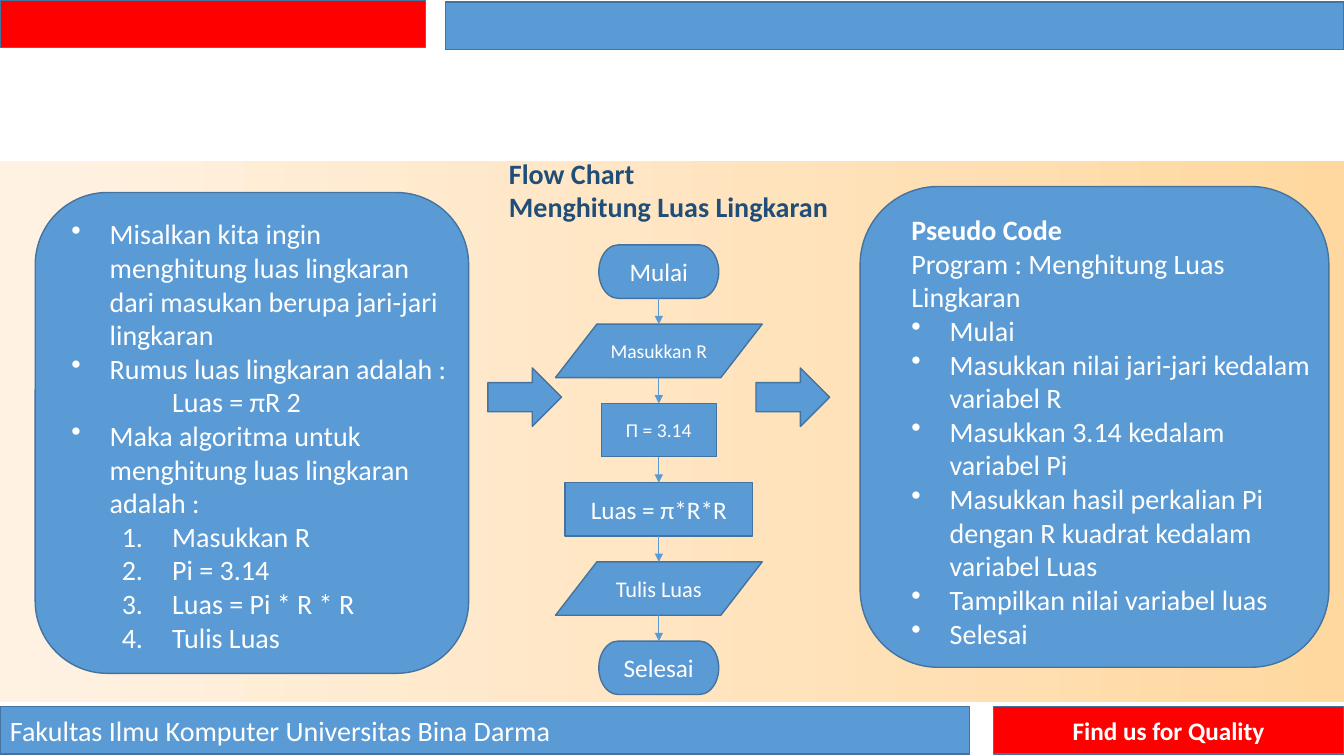
from dataclasses import dataclass
from typing import NamedTuple

from lxml import etree
from pptx import Presentation
from pptx.dml.color import RGBColor
from pptx.enum.shapes import MSO_CONNECTOR, MSO_SHAPE
from pptx.enum.text import MSO_ANCHOR, MSO_AUTO_SIZE, PP_ALIGN
from pptx.oxml.ns import qn
from pptx.util import Inches, Pt

RECTANGLE = MSO_SHAPE.RECTANGLE
ROUNDED = MSO_SHAPE.ROUNDED_RECTANGLE
ARROW = MSO_SHAPE.RIGHT_ARROW
TERMINATOR = MSO_SHAPE.FLOWCHART_TERMINATOR
DATA = MSO_SHAPE.FLOWCHART_DATA
STRAIGHT = MSO_CONNECTOR.STRAIGHT
LEFT, CENTER = PP_ALIGN.LEFT, PP_ALIGN.CENTER
TOP, MIDDLE = MSO_ANCHOR.TOP, MSO_ANCHOR.MIDDLE
FIT_SHAPE = MSO_AUTO_SIZE.SHAPE_TO_FIT_TEXT
SITE_TOP, SITE_BOTTOM = 0, 2


@dataclass(frozen=True)
class Theme:
    font: str = "Calibri"
    blue: str = "5B9BD5"
    outline: str = "43739E"
    red: str = "FF0000"
    white: str = "FFFFFF"
    heading: str = "1F4E79"
    band_dark: str = "FFD8A0"
    band_light: str = "FFF2E3"
    body: int = 20
    label: int = 18
    medium: int = 16
    small: int = 14


THEME = Theme()


class Box(NamedTuple):
    left: float
    top: float
    width: float
    height: float

    def inner(self, left, top, width, height):
        """Return an inner box given in percent of this one."""
        return Box(self.left + self.width * left / 100, self.top + self.height * top / 100,
                   self.width * width / 100, self.height * height / 100)

    def lengths(self):
        return [Inches(value) for value in self]


# Indent style: list level, left margin and hanging indent in inches, marker
INDENTS = {
    "plain": (0, 0, 0, None),
    "bullet": (0, 0.38, -0.38, ("a:buChar", "char", "•")),
    "formula": (0, 1, 0, None),
    "number": (1, 1, -0.5, ("a:buAutoNum", "type", "arabicPeriod")),
}


def color(value):
    return RGBColor.from_string(value)


def write_text(frame, text, first=False, style="plain", size=THEME.body,
               fill=THEME.white, bold=False, align=LEFT):
    paragraph = frame.paragraphs[0] if first else frame.add_paragraph()
    paragraph.alignment = align
    level, margin, hanging, marker = INDENTS[style]
    paragraph.level = level
    if margin:
        properties = paragraph._p.get_or_add_pPr()
        properties.set("marL", str(Inches(margin)))
        properties.set("indent", str(Inches(hanging)))
        if marker:
            tag, key, value = marker
            etree.SubElement(properties, qn(tag)).set(key, value)
    run = paragraph.add_run()
    run.text = text
    run.font.name = THEME.font
    run.font.size = Pt(size)
    run.font.bold = bold
    run.font.color.rgb = color(fill)


def add_block(slide, kind, box, fill=THEME.blue, text=None, **text_format):
    shape = slide.shapes.add_shape(kind, *box.lengths())
    shape.shadow.inherit = False
    shape.fill.solid()
    shape.fill.fore_color.rgb = color(fill)
    shape.line.color.rgb = color(THEME.outline)
    shape.line.width = Pt(1)
    if text:
        shape.text_frame.vertical_anchor = MIDDLE
        write_text(shape.text_frame, text, first=True, **text_format)
    return shape


def add_paragraphs(slide, box, paragraphs):
    frame = slide.shapes.add_textbox(*box.lengths()).text_frame
    frame.word_wrap = True
    frame.auto_size = FIT_SHAPE
    frame.vertical_anchor = TOP
    for index, (text, text_format) in enumerate(paragraphs):
        write_text(frame, text, first=index == 0, **text_format)


def add_band(slide, box):
    band = slide.shapes.add_shape(RECTANGLE, *box.lengths())
    band.shadow.inherit = False
    band.line.fill.background()
    band.fill.gradient()
    band.fill.gradient_angle = 180
    for stop, value in zip(band.fill.gradient_stops, (THEME.band_dark, THEME.band_light)):
        stop.color.rgb = color(value)


def add_header(slide, box):
    add_block(slide, RECTANGLE, box.inner(0, 0, 31.65, 96), THEME.red)
    add_block(slide, RECTANGLE, box.inner(33.15, 4, 66.85, 96))


def add_footer(slide, box):
    add_block(slide, RECTANGLE, box.inner(0, 0, 72.15, 100),
              text="Fakultas Ilmu Komputer Universitas Bina Darma")
    add_block(slide, RECTANGLE, box.inner(73.9, 0, 26.1, 100), THEME.red,
              "Find us for Quality", size=THEME.label, bold=True, align=CENTER)


def add_panel(slide, box, text_area, paragraphs):
    add_block(slide, ROUNDED, box)
    add_paragraphs(slide, box.inner(*text_area), paragraphs)


def add_flow_arrow(slide, upper, lower):
    middle = upper.left + upper.width // 2
    connector = slide.shapes.add_connector(
        STRAIGHT, middle, upper.top + upper.height, middle, lower.top)
    # Data shapes number their sites differently, so only the others are joined
    if upper.auto_shape_type != DATA:
        connector.begin_connect(upper, SITE_BOTTOM)
    if lower.auto_shape_type != DATA:
        connector.end_connect(lower, SITE_TOP)
    connector.line.color.rgb = color(THEME.blue)
    connector.line.width = Pt(0.5)
    line = connector.line._get_or_add_ln()
    etree.SubElement(line, qn("a:tailEnd")).set("type", "triangle")
    etree.SubElement(connector._element.spPr, qn("a:effectLst"))


def add_flow_chart(slide, box, steps):
    height = 11.88
    pitch = (100 - height) / (len(steps) - 1)
    nodes = []
    for row, (kind, width, text, size) in enumerate(steps):
        area = box.inner((100 - width) / 2, row * pitch, width, height)
        nodes.append(add_block(slide, kind, area, text=text, size=size, align=CENTER))
    for upper, lower in zip(nodes, nodes[1:]):
        add_flow_arrow(slide, upper, lower)


def styled(style, *texts):
    return [(text, {"style": style}) for text in texts]


PROBLEM = [
    *styled("bullet",
            "Misalkan kita ingin menghitung luas lingkaran dari masukan berupa jari-jari lingkaran",
            "Rumus luas lingkaran adalah :"),
    *styled("formula", "Luas = πR 2"),
    *styled("bullet", "Maka algoritma untuk menghitung luas lingkaran adalah :"),
    *styled("number", "Masukkan R", "Pi = 3.14", "Luas = Pi * R * R", "Tulis Luas"),
]
PSEUDO_CODE = [
    ("Pseudo Code", {"bold": True}),
    *styled("plain", "Program : Menghitung Luas Lingkaran"),
    *styled("bullet", "Mulai", "Masukkan nilai jari-jari kedalam variabel R",
            "Masukkan 3.14 kedalam variabel Pi",
            "Masukkan hasil perkalian Pi dengan R kuadrat kedalam variabel Luas",
            "Tampilkan nilai variabel luas", "Selesai"),
]
FLOW_STEPS = [
    (TERMINATOR, 58, "Mulai", THEME.label),
    (DATA, 100, "Masukkan R", THEME.small),
    (RECTANGLE, 55.6, "Π = 3.14", THEME.small),
    (RECTANGLE, 90.7, "Luas = π*R*R", THEME.label),
    (DATA, 100, "Tulis Luas", THEME.medium),
    (TERMINATOR, 58, "Selesai", THEME.label),
]
HEADING = [(text, {"bold": True, "fill": THEME.heading})
           for text in ("Flow Chart", "Menghitung Luas Lingkaran")]


def main():
    presentation = Presentation()
    page = Box(0, 0, 13.33, 7.5)
    presentation.slide_width, presentation.slide_height = page.lengths()[2:]
    slide = presentation.slides.add_slide(presentation.slide_layouts[6])

    # Frame of the page
    add_band(slide, page.inner(0, 21.33, 100, 71.47))
    add_header(slide, page.inner(0, 0, 100, 6.53))
    add_footer(slide, page.inner(0, 93.47, 100, 6.27))

    # Problem, flow chart and pseudo code, from left to right
    add_panel(slide, page.inner(2.62, 25.47, 32.25, 63.6), (6.05, 4, 93.26, 93.9), PROBLEM)
    add_flow_chart(slide, page.inner(41.33, 32.4, 15.38, 59.47), FLOW_STEPS)
    add_panel(slide, page.inner(64, 24.67, 34.88, 63.6), (8.82, 4.4, 91.4, 93.9), PSEUDO_CODE)
    for left in (36.3, 56.25):
        add_block(slide, ARROW, page.inner(left, 48.67, 5.48, 7.73))
    add_paragraphs(slide, page.inner(37.13, 20, 37.43, 10.27), HEADING)

    presentation.save("out.pptx")


if __name__ == "__main__":
    main()
